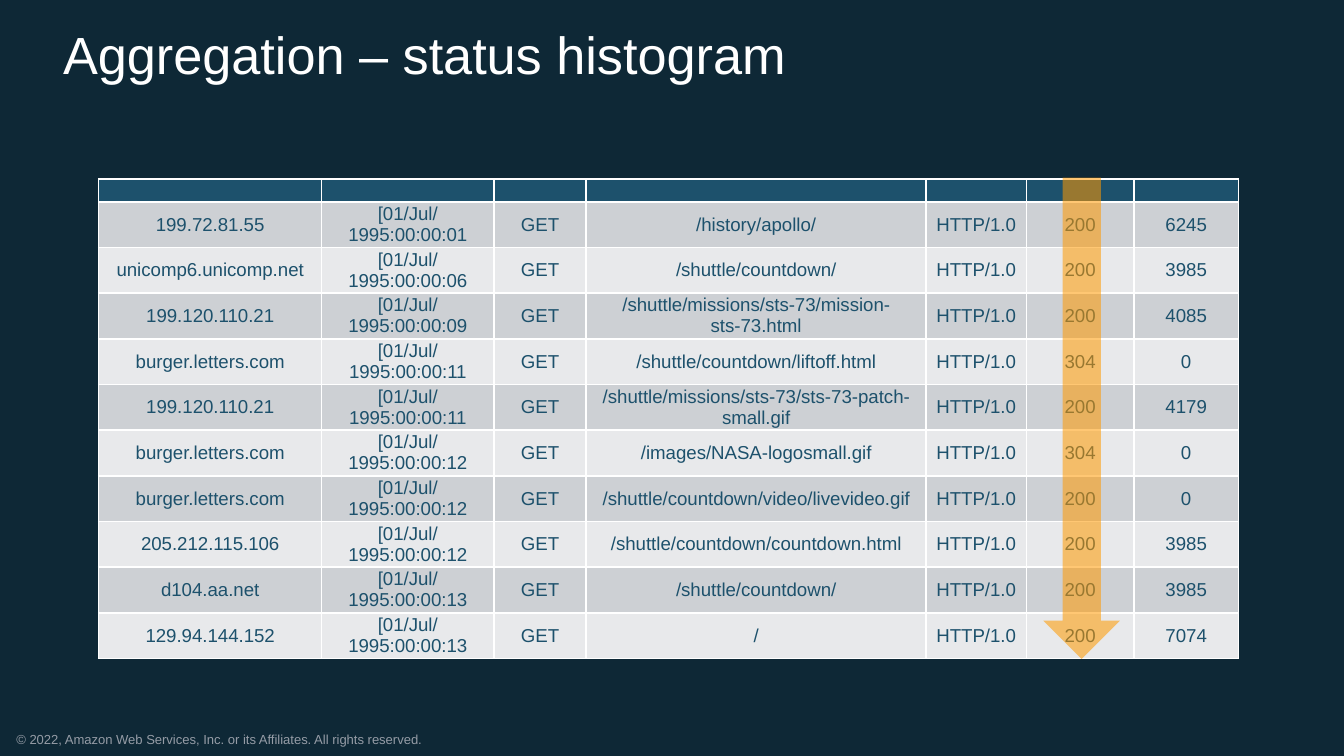
from dataclasses import dataclass

from lxml.etree import SubElement
from pptx import Presentation
from pptx.dml.color import RGBColor
from pptx.enum.shapes import MSO_SHAPE
from pptx.enum.text import MSO_ANCHOR, MSO_AUTO_SIZE, PP_ALIGN
from pptx.oxml.ns import qn
from pptx.util import Pt


@dataclass(frozen=True)
class Theme:
    font: str = "Arial"
    back: str = "0E2836"
    white: str = "FFFFFF"
    gray: str = "959CA6"
    blue: str = "1D516C"
    odd: str = "CDD0D4"
    even: str = "E8E9EB"
    arrow: str = "FF9900"
    alpha: int = 55
    title: int = 28
    body: int = 10
    small: int = 7
    rule: int = 1


THEME = Theme()
COLS = [119.5, 92.3, 49.5, 182, 53.8, 57.6, 56]
HEAD_H = 12.24
ROW_H = 24.48
LOGS = [
    ("199.72.81.55", "01", "/history/apollo/", "200", "6245"),
    ("unicomp6.unicomp.net", "06", "/shuttle/countdown/", "200", "3985"),
    ("199.120.110.21", "09", "/shuttle/missions/sts-73/mission-sts-73.html", "200", "4085"),
    ("burger.letters.com", "11", "/shuttle/countdown/liftoff.html", "304", "0"),
    ("199.120.110.21", "11", "/shuttle/missions/sts-73/sts-73-patch-small.gif", "200", "4179"),
    ("burger.letters.com", "12", "/images/NASA-logosmall.gif", "304", "0"),
    ("burger.letters.com", "12", "/shuttle/countdown/video/livevideo.gif", "200", "0"),
    ("205.212.115.106", "12", "/shuttle/countdown/countdown.html", "200", "3985"),
    ("d104.aa.net", "13", "/shuttle/countdown/", "200", "3985"),
    ("129.94.144.152", "13", "/", "200", "7074"),
]


def color(code):
    return RGBColor.from_string(code)


def style(frame, text, size, code, align=PP_ALIGN.LEFT):
    frame.text = text
    para = frame.paragraphs[0]
    para.alignment = align
    font = para.runs[0].font
    font.name = THEME.font
    font.size = Pt(size)
    font.color.rgb = color(code)


def clear(box):
    box.margin_left = box.margin_right = box.margin_top = box.margin_bottom = 0


def add_title(slide, left, top, width, height):
    title = slide.shapes.title
    title.left, title.top = Pt(left), Pt(top)
    title.width, title.height = Pt(width), Pt(height)
    frame = title.text_frame
    frame.vertical_anchor = MSO_ANCHOR.MIDDLE
    style(frame, "Aggregation – status histogram", THEME.title, THEME.white)
    frame.paragraphs[0].line_spacing = 0.9


def add_foot(slide, left, top, width, height):
    box = slide.shapes.add_textbox(Pt(left), Pt(top), Pt(width), Pt(height))
    frame = box.text_frame
    clear(frame)
    frame.word_wrap = True
    frame.auto_size = MSO_AUTO_SIZE.SHAPE_TO_FIT_TEXT
    text = "© 2022, Amazon Web Services, Inc. or its Affiliates. All rights reserved."
    style(frame, text, THEME.small, THEME.gray)


def add_rules(cell):
    props = cell._tc.get_or_add_tcPr()
    for side in ("lnL", "lnR", "lnT", "lnB"):
        line = SubElement(props, qn(f"a:{side}"), w=str(Pt(THEME.rule)))
        fill = SubElement(line, qn("a:solidFill"))
        SubElement(fill, qn("a:srgbClr"), val=THEME.white)


def paint(cell, fill):
    add_rules(cell)
    cell.fill.solid()
    cell.fill.fore_color.rgb = color(fill)
    clear(cell)
    cell.vertical_anchor = MSO_ANCHOR.MIDDLE


def add_log(slide, left, top):
    rows = [
        [host, f"[01/Jul/1995:00:00:{sec}", "GET", page, "HTTP/1.0", code, size]
        for host, sec, page, code, size in LOGS
    ]
    width, height = sum(COLS), HEAD_H + ROW_H * len(rows)
    table = slide.shapes.add_table(
        len(rows) + 1, len(COLS), Pt(left), Pt(top), Pt(width), Pt(height)
    ).table
    for col, wide in zip(table.columns, COLS):
        col.width = Pt(wide)
    table.rows[0].height = Pt(HEAD_H)
    for cell in table.rows[0].cells:
        paint(cell, THEME.blue)
        para = cell.text_frame.paragraphs[0]
        SubElement(para._p, qn("a:endParaRPr"), sz=str(THEME.body * 100))
    for r, row in enumerate(rows, 1):
        table.rows[r].height = Pt(ROW_H)
        band = THEME.odd if r % 2 else THEME.even
        for cell, text in zip(table.rows[r].cells, row):
            paint(cell, band)
            style(cell.text_frame, text, THEME.body, THEME.blue, PP_ALIGN.CENTER)


def add_arrow(slide, left, top, width, height):
    arrow = slide.shapes.add_shape(
        MSO_SHAPE.DOWN_ARROW, Pt(left), Pt(top), Pt(width), Pt(height)
    )
    arrow.shadow.inherit = False
    arrow.line.fill.background()
    arrow.fill.solid()
    arrow.fill.fore_color.rgb = color(THEME.arrow)
    tint = arrow._element.spPr.find(qn("a:solidFill"))[0]
    SubElement(tint, qn("a:alpha"), val=str(THEME.alpha * 1000))


def main():
    deck = Presentation()
    deck.slide_width, deck.slide_height = Pt(720), Pt(405)
    slide = deck.slides.add_slide(deck.slide_layouts[5])
    back = slide.background.fill
    back.solid()
    back.fore_color.rgb = color(THEME.back)
    add_foot(slide, 8.8, 391.9, 238, 8.4)
    add_title(slide, 26.6, 9.4, 646, 43.2)
    add_log(slide, 52.8, 95.9)
    add_arrow(slide, 559, 95.2, 41, 257.8)
    deck.save("out.pptx")


if __name__ == "__main__":
    main()
